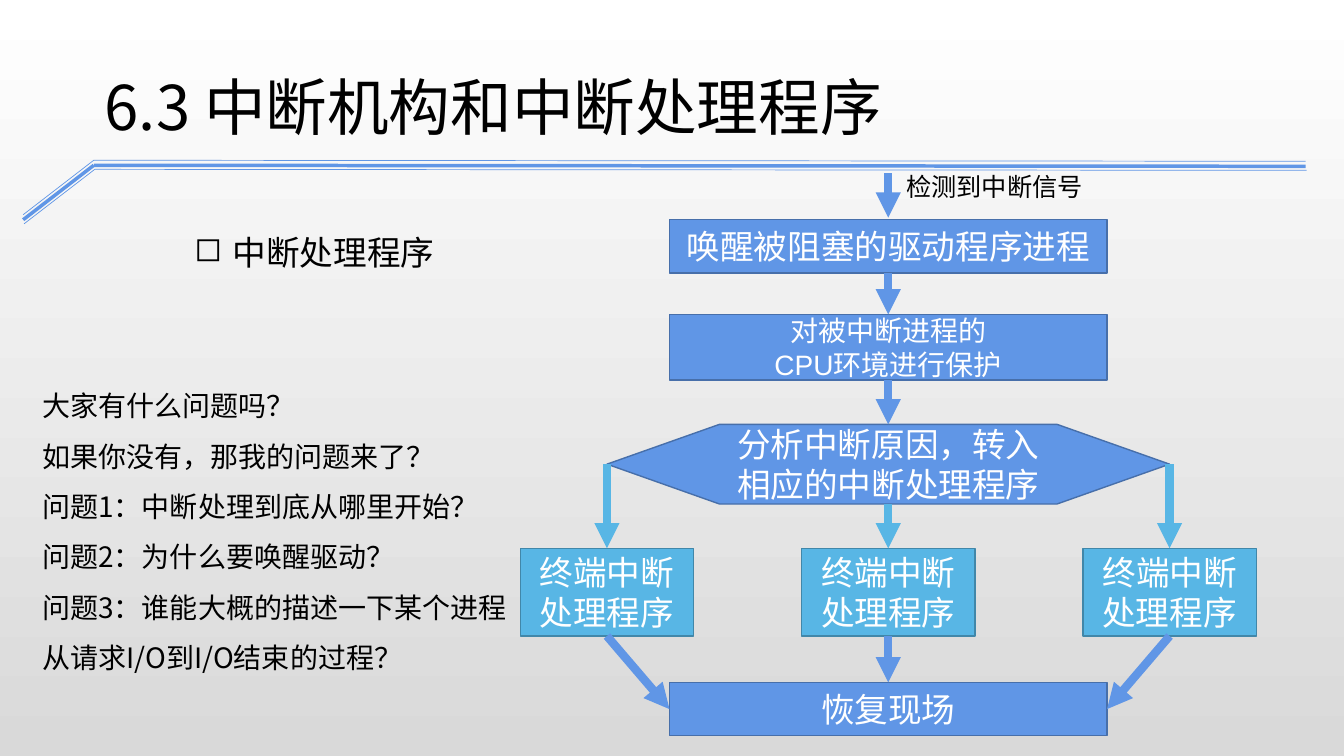
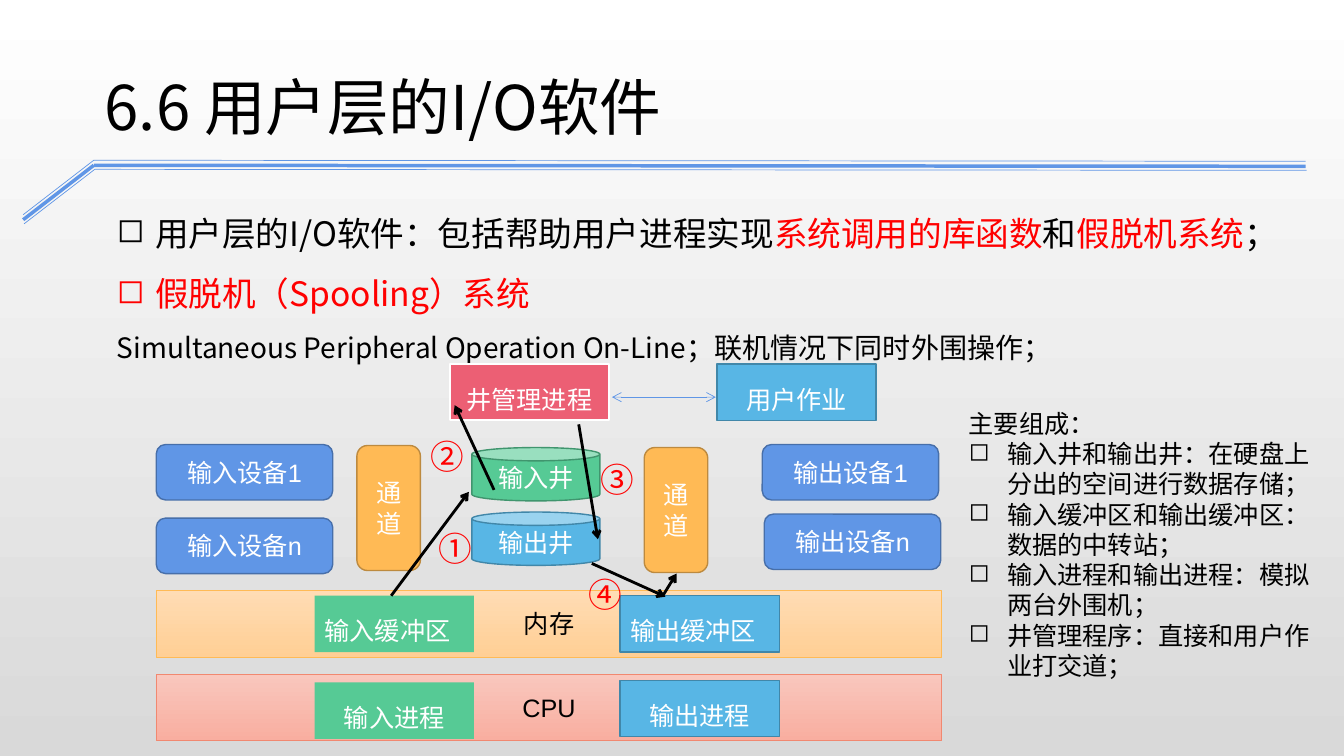
from dataclasses import dataclass
from typing import Optional

from lxml.etree import SubElement
from pptx import Presentation
from pptx.dml.color import RGBColor
from pptx.enum.shapes import MSO_CONNECTOR, MSO_SHAPE
from pptx.enum.text import MSO_ANCHOR, PP_ALIGN
from pptx.oxml.ns import qn
from pptx.util import Emu, Pt

PX = 9144
BLACK = RGBColor(0x00, 0x00, 0x00)
WHITE = RGBColor(0xFF, 0xFF, 0xFF)
GREY = RGBColor(0xD9, 0xD9, 0xD9)
RED = RGBColor(0xFF, 0x00, 0x00)
BLUE = RGBColor(0x60, 0x96, 0xE6)
BLUE_EDGE = RGBColor(0x47, 0x6F, 0xAA)
SKY = RGBColor(0x58, 0xB6, 0xE5)
SKY_EDGE = RGBColor(0x41, 0x87, 0xA9)
ORANGE = RGBColor(0xFF, 0xBA, 0x55)
ORANGE_EDGE = RGBColor(0xBD, 0x8A, 0x3F)
GREEN = RGBColor(0x56, 0xCA, 0x95)
GREEN_EDGE = RGBColor(0x40, 0x95, 0x6E)
ROSE = RGBColor(0xEC, 0x5F, 0x74)
MEMORY_TOP = RGBColor(0xFF, 0xDC, 0xB4)
MEMORY_BOTTOM = RGBColor(0xFF, 0xCF, 0x95)
CPU_TOP = RGBColor(0xF9, 0xC7, 0xBD)
CPU_BOTTOM = RGBColor(0xF9, 0xAE, 0xA0)
CPU_EDGE = RGBColor(0xF1, 0x88, 0x70)

ARIAL = "Arial"
TIMES = "Times New Roman"
SANS_JP = "Noto Sans CJK JP"
SANS_SC = "Noto Sans CJK SC"

RECT = MSO_SHAPE.RECTANGLE
ROUND = MSO_SHAPE.ROUNDED_RECTANGLE
CAN = MSO_SHAPE.CAN
TOP, LEFT, BOTTOM, RIGHT = range(4)


@dataclass(frozen=True)
class Style:
    size: int
    font: str = SANS_JP
    color: RGBColor = BLACK
    align: PP_ALIGN = PP_ALIGN.LEFT
    spacing: Optional[float] = None
    anchor: MSO_ANCHOR = MSO_ANCHOR.TOP


@dataclass(frozen=True)
class Para:
    runs: tuple
    bullet: bool = False
    size: Optional[int] = None


@dataclass(frozen=True)
class Look:
    fill: RGBColor
    edge: Optional[RGBColor] = None
    width: float = 1
    fade: Optional[RGBColor] = None


@dataclass(frozen=True)
class Box:
    text: str
    at: tuple
    look: Look
    kind: MSO_SHAPE = RECT


@dataclass(frozen=True)
class Arrow:
    start: tuple
    end: tuple


TITLE = Style(44, anchor=MSO_ANCHOR.MIDDLE)
BODY = Style(24, spacing=1.5)
QUESTIONS = Style(20, spacing=1.5)
NOTES = Style(18)
MARK = Style(24, color=RED, spacing=1.5)
CENTRED = dict(align=PP_ALIGN.CENTER, anchor=MSO_ANCHOR.MIDDLE)
STEP = Style(24, ARIAL, WHITE, **CENTRED)
SMALL_STEP = Style(20, ARIAL, WHITE, **CENTRED)
PART = Style(18, ARIAL, WHITE, **CENTRED)
BAND = Style(18, ARIAL, BLACK, **CENTRED)
BUFFER = Style(18, SANS_SC, WHITE, spacing=1.5)
PROCESS = Style(18, SANS_SC, WHITE, PP_ALIGN.CENTER, 1.5)

BLUE_LOOK = Look(BLUE, BLUE_EDGE)
SKY_LOOK = Look(SKY, SKY_EDGE)
ORANGE_LOOK = Look(ORANGE, ORANGE_EDGE)
GREEN_LOOK = Look(GREEN, GREEN_EDGE)
PLAIN_GREEN = Look(GREEN)


def px(*lengths: int) -> list:
    return [Emu(length * PX) for length in lengths]


def write(shape, paras: list, style: Style) -> None:
    frame = shape.text_frame
    frame.word_wrap = True
    frame.vertical_anchor = style.anchor
    for index, item in enumerate(paras):
        para = item if isinstance(item, Para) else Para((item,))
        line = frame.paragraphs[0] if index == 0 else frame.add_paragraph()
        line.alignment = style.align
        if style.spacing:
            line.line_spacing = style.spacing
        if para.bullet:
            props = line._p.get_or_add_pPr()
            props.set("marL", str(38 * PX))
            props.set("indent", str(-38 * PX))
            SubElement(props, qn("a:buChar")).set("char", "◻")
        for part in para.runs:
            text, color = part if isinstance(part, tuple) else (part, style.color)
            run = line.add_run()
            run.text = text
            run.font.size = Pt(para.size or style.size)
            run.font.color.rgb = color
            run.font.name = style.font
            props = run._r.get_or_add_rPr()
            props.set("lang", "zh-CN")
            east_asian = style.font if style.font == SANS_JP else SANS_SC
            SubElement(props, qn("a:ea")).set("typeface", east_asian)


def add_text(slide, at: tuple, paras: list, style: Style) -> None:
    write(slide.shapes.add_textbox(*px(*at)), paras, style)


def fade(fill, top: RGBColor, bottom: RGBColor) -> None:
    fill.gradient()
    fill.gradient_angle = 270
    for stop, color in zip(fill.gradient_stops, (top, bottom)):
        stop.color.rgb = color


def add_box(slide, box: Box, style: Style):
    shape = slide.shapes.add_shape(box.kind, *px(*box.at))
    shape.shadow.inherit = False
    look = box.look
    if look.fade:
        fade(shape.fill, look.fill, look.fade)
    else:
        shape.fill.solid()
        shape.fill.fore_color.rgb = look.fill
    if look.edge:
        shape.line.color.rgb = look.edge
        shape.line.width = Pt(look.width)
    else:
        shape.line.fill.background()
    write(shape, box.text.split("\n"), style)
    return shape


def add_line(slide, start: tuple, end: tuple, color: RGBColor, width: float,
             tail: str = "", head: str = ""):
    line = slide.shapes.add_connector(MSO_CONNECTOR.STRAIGHT, *px(*start, *end))
    line.line.color.rgb = color
    line.line.width = Pt(width)
    outline = line.line._get_or_add_ln()
    for tag, kind in (("a:headEnd", head), ("a:tailEnd", tail)):
        if kind:
            SubElement(outline, qn(tag)).set("type", kind)
    SubElement(line._element.spPr, qn("a:effectLst"))
    return line


def join(slide, source, source_side: int, target, target_side: int,
         color: RGBColor = BLUE) -> None:
    line = add_line(slide, (0, 0), (0, 0), color, 6, "triangle")
    line.begin_connect(source, source_side)
    line.end_connect(target, target_side)


def start_slide(prs, title: str):
    slide = prs.slides.add_slide(prs.slide_layouts[6])
    for dx, dy, width in ((0, 0, 0.5), (0, 5, 2.5), (1, 9, 0.5)):
        foot, bend, tip = [(x + dx, y + dy)
                           for x, y in ((23, 213), (93, 159), (1295, 160))]
        add_line(slide, foot, bend, BLUE, width)
        add_line(slide, bend, tip, BLUE, width)
    add_text(slide, (94, 63, 952, 84), [title], TITLE)
    return slide


def interrupt_slide(prs) -> None:
    slide = start_slide(prs, "6.3 中断机构和中断处理程序")
    add_text(slide, (183, 205, 1145, 268), [Para(("中断处理程序",), True)],
             Style(24, TIMES, spacing=1.5))
    wake = add_box(slide, Box("唤醒被阻塞的驱动程序进程", (664, 218, 434, 53), BLUE_LOOK), STEP)
    protect = add_box(slide, Box("对被中断进程的\nCPU环境进行保护", (664, 312, 434, 65), BLUE_LOOK),
                      SMALL_STEP)
    analyse = add_box(slide, Box("分析中断原因，转入相应的中断处理程序", (602, 421, 558, 79),
                                 BLUE_LOOK, MSO_SHAPE.FLOWCHART_PREPARATION), STEP)
    handlers = [add_box(slide, Box("终端中断处理程序", (516 + 279 * i, 544, 172, 87), SKY_LOOK), STEP)
                for i in range(3)]
    restore = add_box(slide, Box("恢复现场", (664, 677, 434, 53), BLUE_LOOK), STEP)

    add_line(slide, (881, 172), (881, 216), BLUE, 6, "triangle")
    join(slide, wake, BOTTOM, protect, TOP)
    join(slide, protect, BOTTOM, analyse, TOP)
    for handler, out_side, in_side in zip(handlers, (LEFT, BOTTOM, RIGHT), (LEFT, TOP, RIGHT)):
        join(slide, analyse, out_side, handler, TOP, SKY)
        join(slide, handler, BOTTOM, restore, in_side)

    add_text(slide, (889, 165, 217, 40), ["检测到中断信号"], Style(18, TIMES))
    add_text(slide, (32, 364, 489, 313), [
        "大家有什么问题吗？",
        "如果你没有，那我的问题来了？",
        "问题1：中断处理到底从哪里开始？",
        "问题2：为什么要唤醒驱动？",
        "问题3：谁能大概的描述一下某个进程从请求I/O到I/O结束的过程？",
    ], QUESTIONS)


def spooling_slide(prs) -> None:
    slide = start_slide(prs, "6.6 用户层的I/O软件")
    add_text(slide, (106, 186, 1211, 268), [
        Para(("用户层的I/O软件：包括帮助用户进程实现", ("系统调用的库函数", RED), "和",
              ("假脱机系统", RED), "；"), True),
        Para((("假脱机（Spooling）系统", RED),), True),
        Para(("Simultaneous Peripheral Operation On-Line；联机情况下同时外围操作；",), size=20),
    ], BODY)

    groups = (
        (PART, (
            Box("输入设备1", (155, 441, 175, 55), BLUE_LOOK, ROUND),
            Box("输入设备n", (155, 514, 175, 55), BLUE_LOOK, ROUND),
            Box("通道", (354, 442, 63, 124), ORANGE_LOOK, ROUND),
            Box("输入井", (468, 444, 127, 53), GREEN_LOOK, CAN),
            Box("输出井", (468, 508, 127, 53), SKY_LOOK, CAN),
            Box("输出设备1", (756, 441, 175, 55), BLUE_LOOK, ROUND),
            Box("输出设备n", (758, 510, 175, 55), BLUE_LOOK, ROUND),
            Box("通道", (639, 444, 63, 124), ORANGE_LOOK, ROUND),
        )),
        (BAND, (
            Box("内存", (155, 586, 779, 66), Look(MEMORY_TOP, ORANGE, 0.5, MEMORY_BOTTOM)),
            Box("CPU", (155, 669, 779, 66), Look(CPU_TOP, CPU_EDGE, 0.5, CPU_BOTTOM)),
        )),
        (BUFFER, (
            Box("输入缓冲区", (312, 591, 158, 56), PLAIN_GREEN),
            Box("输出缓冲区", (615, 591, 158, 56), SKY_LOOK),
        )),
        (PROCESS, (
            Box("输入进程", (312, 677, 158, 56), PLAIN_GREEN),
            Box("输出进程", (615, 675, 158, 56), SKY_LOOK),
            Box("井管理进程", (446, 361, 158, 56), Look(ROSE, WHITE, 1.5)),
            Box("用户作业", (711, 361, 158, 56), SKY_LOOK),
        )),
    )
    for style, boxes in groups:
        for box in boxes:
            add_box(slide, box, style)

    add_line(slide, (607, 394), (710, 394), BLUE, 0.5, "arrow", "arrow")
    for flow in (
        Arrow((388, 591), (465, 488)),
        Arrow((490, 486), (451, 402)),
        Arrow((574, 421), (593, 535)),
        Arrow((587, 559), (660, 592)),
        Arrow((658, 590), (671, 569)),
    ):
        add_line(slide, flow.start, flow.end, BLACK, 2, "arrow")

    for mark, at in (
        ("①", (425, 499, 119, 42)),
        ("②", (417, 408, 119, 42)),
        ("③", (586, 430, 119, 42)),
        ("④", (574, 544, 69, 71)),
    ):
        add_text(slide, at, [mark], MARK)

    duties = (
        "输入井和输出井：在硬盘上分出的空间进行数据存储；",
        "输入缓冲区和输出缓冲区：数据的中转站；",
        "输入进程和输出进程：模拟两台外围机；",
        "井管理程序：直接和用户作业打交道；",
    )
    add_text(slide, (951, 400, 372, 189),
             ["主要组成：", *(Para((duty,), True) for duty in duties)], NOTES)


def main() -> None:
    prs = Presentation()
    prs.slide_width, prs.slide_height = px(1333, 750)
    fade(prs.slide_master.background.fill, WHITE, GREY)
    interrupt_slide(prs)
    spooling_slide(prs)
    prs.save("out.pptx")


if __name__ == "__main__":
    main()
